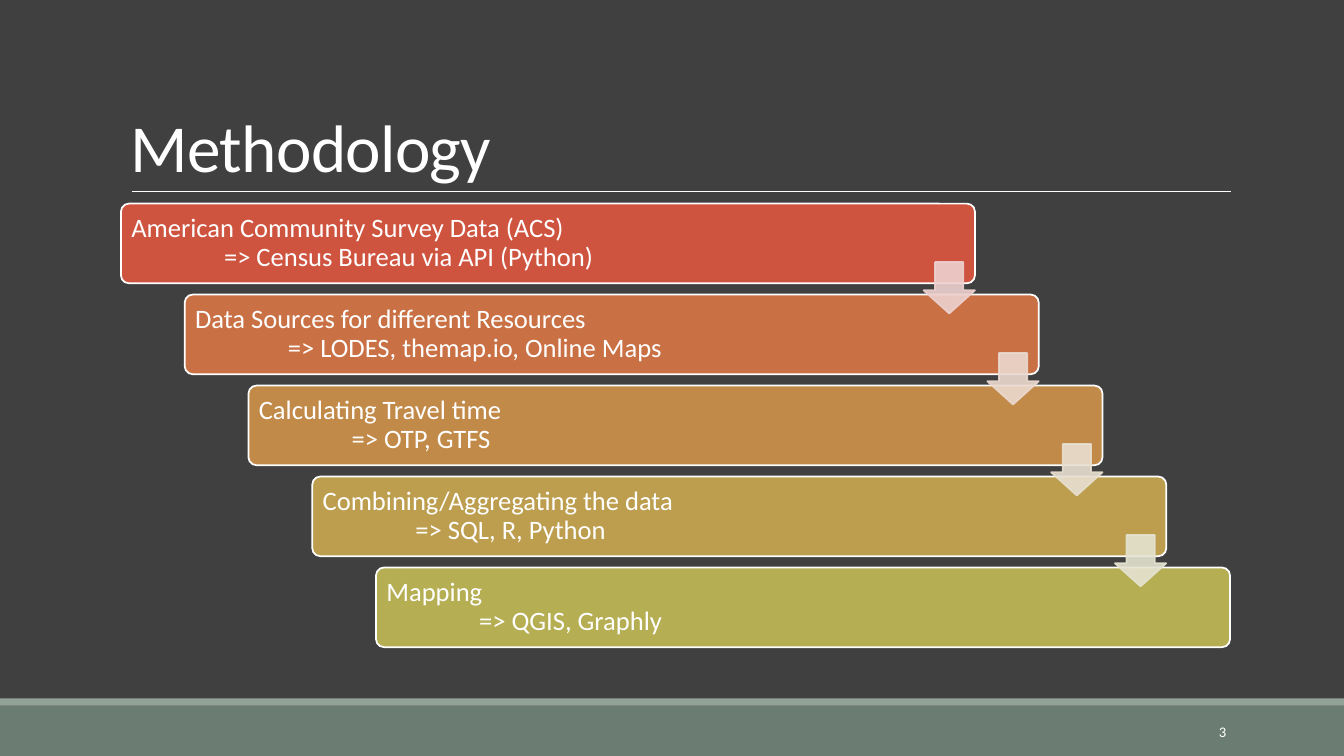
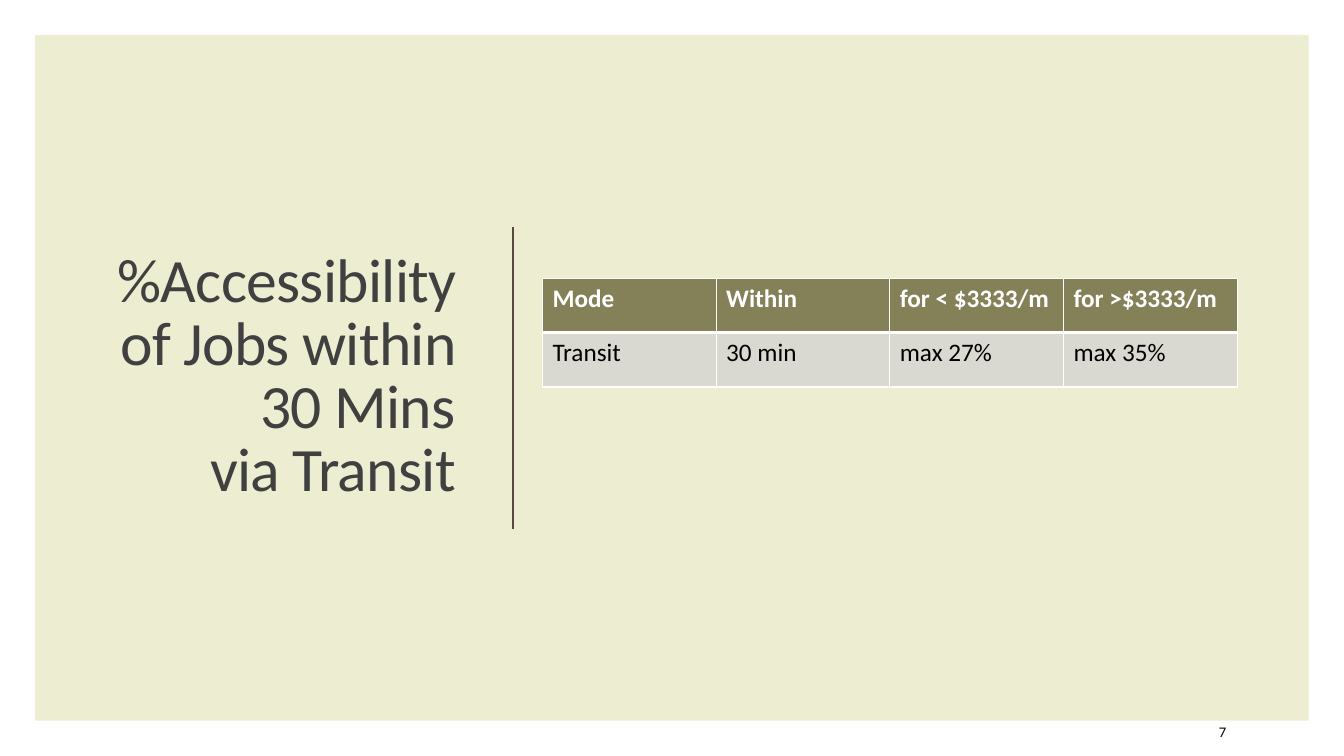
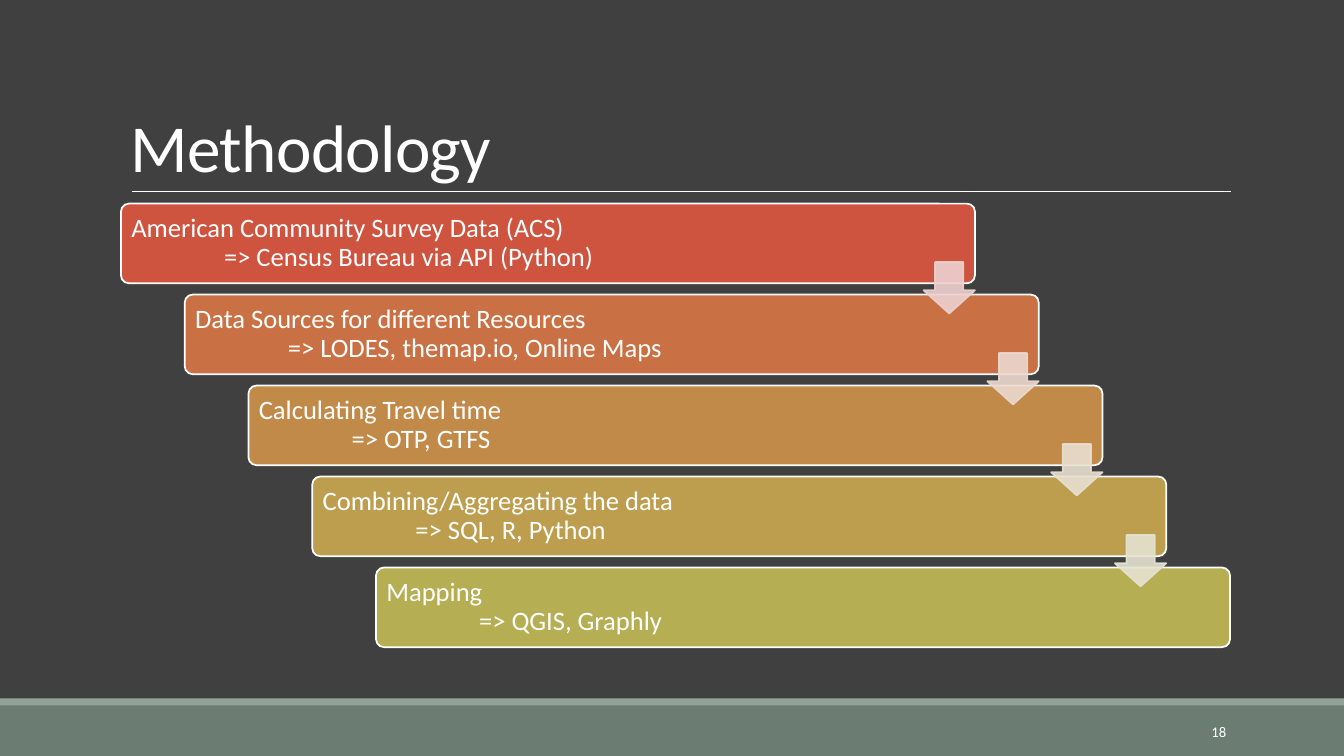
from lxml import etree
from pptx import Presentation
from pptx import util as u
from pptx.dml.color import RGBColor
from pptx.enum import shapes, text
from pptx.oxml import ns

Inches, Pt = u.Inches, u.Pt

# Content
STEPS = [
    ("American Community Survey Data (ACS)", "=> Census Bureau via API (Python)"),
    ("Data Sources for different Resources", "=> LODES, themap.io, Online Maps"),
    ("Calculating Travel time", "=> OTP, GTFS"),
    ("Combining/Aggregating the data", "=> SQL, R, Python"),
    ("Mapping", "=> QGIS, Graphly"),
]
ACCESS_TITLE = "%Accessibility of Jobs within 30 Mins\vvia Transit"
ACCESS_ROWS = [
    ("Mode", "Within", "for < $3333/m", "for >$3333/m"),
    ("Transit", "30 min", "max 27%", "max 35%"),
]

# Shared style
FONT = "Calibri"
COLORS = {
    "dark": "404040", "white": "FFFFFF", "black": "000000",
    "footer": "6B7D72", "footer_edge": "93A299",
    "panel": "ECEDD1", "divider": "564B3C",
    "header": "848058", "body": "D9D8D1",
}
BAR_COLORS = ["CF543F", "C97144", "C28A49", "BC9E4E", "B5AE53"]
ARROW_COLORS = ["EDD1CF", "EBD9CF", "E8DFD0", "E5E3D1"]

# Staircase geometry, in inches
FIRST_BAR, LAST_BAR = (1.2, 2.02), (3.73, 5.63)
BAR_WIDTH, BAR_HEIGHT = 8.47, 0.79
ARROW_SIZE, ARROW_DROP = 0.51, 0.58


def rgb(color):
    return RGBColor.from_string(color)


def style_paragraph(paragraph, size, color, bold=False, align=None, line_spacing=None, tracking=None):
    paragraph.alignment = align
    paragraph.line_spacing = line_spacing
    for run in paragraph.runs:
        run.font.name, run.font.size, run.font.bold = FONT, Pt(size), bold
        run.font.color.rgb = rgb(color)
        if tracking is not None:
            run.font._element.set("spc", str(round(tracking * 100)))


def add_text(slide, box, content, anchor, **style):
    frame = slide.shapes.add_textbox(*map(Inches, box)).text_frame
    frame.word_wrap = True
    frame.vertical_anchor = anchor
    frame.text = content
    style_paragraph(frame.paragraphs[0], **style)


def add_title(slide, box, content, anchor, **style):
    add_text(slide, box, content, anchor, line_spacing=0.85, tracking=-0.5, **style)


def add_block(slide, kind, box, fill, line=None, adjustments=()):
    shape = slide.shapes.add_shape(kind, *map(Inches, box))
    shape.shadow.inherit = False
    shape.fill.solid()
    shape.fill.fore_color.rgb = rgb(fill)
    for index, value in enumerate(adjustments):
        shape.adjustments[index] = value
    if line:
        shape.line.color.rgb = rgb(line)
        shape.line.width = Pt(1.25)
    else:
        shape.line.fill.background()
    return shape


def add_rule(slide, start, end, color, width):
    rule = slide.shapes.add_connector(shapes.MSO_CONNECTOR.STRAIGHT, *map(Inches, start + end))
    rule.line.color.rgb = rgb(color)
    rule.line.width = Pt(width)
    etree.SubElement(rule._element.spPr, ns.qn("a:effectLst"))


def set_opacity(shape, percent):
    for color in shape._element.spPr.iter(ns.qn("a:srgbClr")):
        etree.SubElement(color, ns.qn("a:alpha"), val=str(percent * 1000))


def add_borders(cell, widths):
    properties = cell._tc.get_or_add_tcPr()
    for index, (side, width) in enumerate(widths.items()):
        line = etree.Element(ns.qn("a:ln" + side), w=str(Pt(width)))
        fill = etree.SubElement(line, ns.qn("a:solidFill"))
        etree.SubElement(fill, ns.qn("a:srgbClr"), val=COLORS["white"])
        properties.insert(index, line)


def new_slide(presentation, background, number, number_color):
    slide = presentation.slides.add_slide(presentation.slide_layouts[6])
    slide.background.fill.solid()
    slide.background.fill.fore_color.rgb = rgb(background)
    if background == COLORS["dark"]:
        for top, height, color in ((7, 0.5, "footer"), (6.93, 0.07, "footer_edge")):
            add_block(slide, shapes.MSO_SHAPE.RECTANGLE, (0, top, 13.33, height), COLORS[color])
    add_text(slide, (10.83, 7.06, 1.43, 0.4), str(number), text.MSO_ANCHOR.MIDDLE,
             size=10.5, color=number_color, align=text.PP_ALIGN.RIGHT)
    return slide


def add_step(slide, left, top, heading, detail, color):
    bar = add_block(slide, shapes.MSO_SHAPE.ROUNDED_RECTANGLE, (left, top, BAR_WIDTH, BAR_HEIGHT),
                    color, COLORS["white"], [0.1])
    frame = bar.text_frame
    frame.word_wrap = True
    frame.vertical_anchor = text.MSO_ANCHOR.MIDDLE
    frame.margin_left = frame.margin_right = frame.margin_top = frame.margin_bottom = Inches(0.08)
    paragraph = frame.paragraphs[0]
    paragraph.text = f"{heading}\v\t{detail}"
    tabs = etree.SubElement(paragraph._p.get_or_add_pPr(), ns.qn("a:tabLst"))
    etree.SubElement(tabs, ns.qn("a:tab"), pos=str(Inches(0.92)), algn="l")
    style_paragraph(paragraph, 19, COLORS["white"], align=text.PP_ALIGN.LEFT, line_spacing=0.9)


def methodology_slide(presentation, number):
    slide = new_slide(presentation, COLORS["dark"], number, COLORS["white"])
    add_rule(slide, (1.31, 1.9), (12.21, 1.9), COLORS["white"], 0.5)
    add_title(slide, (1.2, 0.31, 11, 1.59), "Methodology", text.MSO_ANCHOR.BOTTOM,
              size=48, color=COLORS["white"])

    # Bars step down to the right
    step_x, step_y = ((last - first) / (len(STEPS) - 1) for first, last in zip(FIRST_BAR, LAST_BAR))
    corners = [(FIRST_BAR[0] + i * step_x, FIRST_BAR[1] + i * step_y) for i in range(len(STEPS))]
    for (left, top), (heading, detail), color in zip(corners, STEPS, BAR_COLORS):
        add_step(slide, left, top, heading, detail, color)

    # Arrows bridge each bar and the next, flush with the right edge
    for (left, top), color in zip(corners, ARROW_COLORS):
        box = (left + BAR_WIDTH - ARROW_SIZE, top + ARROW_DROP, ARROW_SIZE, ARROW_SIZE)
        arrow = add_block(slide, shapes.MSO_SHAPE.DOWN_ARROW, box, color, color)
        # The down arrow lists its shaft width first, then its head length
        arrow.adjustments[0], arrow.adjustments[1] = 0.55, 0.45
        set_opacity(arrow, 90)


def accessibility_slide(presentation, number):
    slide = new_slide(presentation, COLORS["white"], number, COLORS["black"])
    add_block(slide, shapes.MSO_SHAPE.RECTANGLE, (0.35, 0.35, 12.63, 6.8), COLORS["panel"])
    add_title(slide, (1.06, 1.05, 3.56, 5.4), ACCESS_TITLE, text.MSO_ANCHOR.MIDDLE,
              size=44, color=COLORS["dark"], align=text.PP_ALIGN.RIGHT)
    add_rule(slide, (5.09, 2.25), (5.09, 5.25), COLORS["divider"], 1.5)

    # Table with a thick line under the header
    box = map(Inches, (5.38, 2.76, 6.89, 1.08))
    table = slide.shapes.add_table(len(ACCESS_ROWS), len(ACCESS_ROWS[0]), *box).table
    table.horz_banding = False
    for r, row in enumerate(ACCESS_ROWS):
        header = r == 0
        for c, value in enumerate(row):
            cell = table.cell(r, c)
            cell.text = value
            cell.fill.solid()
            cell.fill.fore_color.rgb = rgb(COLORS["header" if header else "body"])
            style_paragraph(cell.text_frame.paragraphs[0], 18,
                            COLORS["white" if header else "black"], bold=header)
            add_borders(cell, {"L": 1, "R": 1, "T": 1 if header else 3, "B": 3 if header else 1})


def main():
    presentation = Presentation()
    presentation.slide_width, presentation.slide_height = Inches(13.33), Inches(7.5)
    methodology_slide(presentation, 3)
    accessibility_slide(presentation, 7)
    methodology_slide(presentation, 18)
    presentation.save("out.pptx")


if __name__ == "__main__":
    main()
